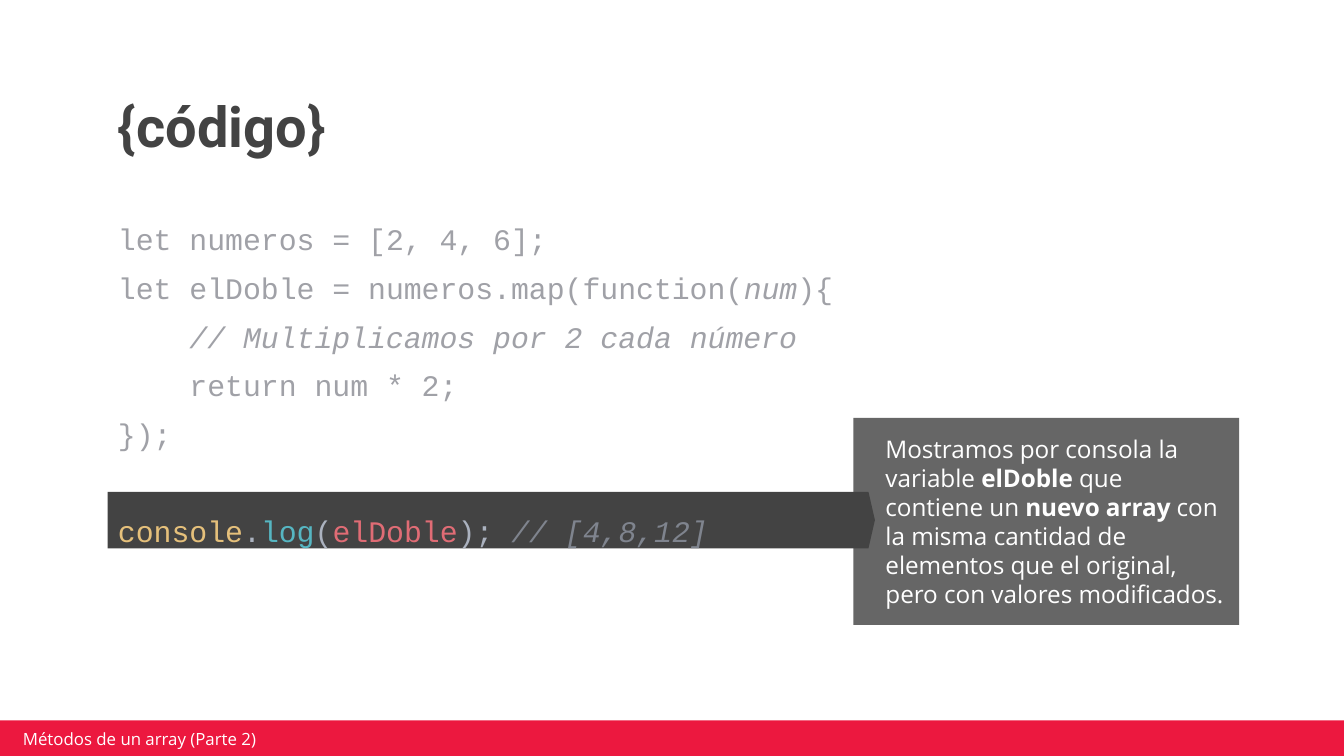
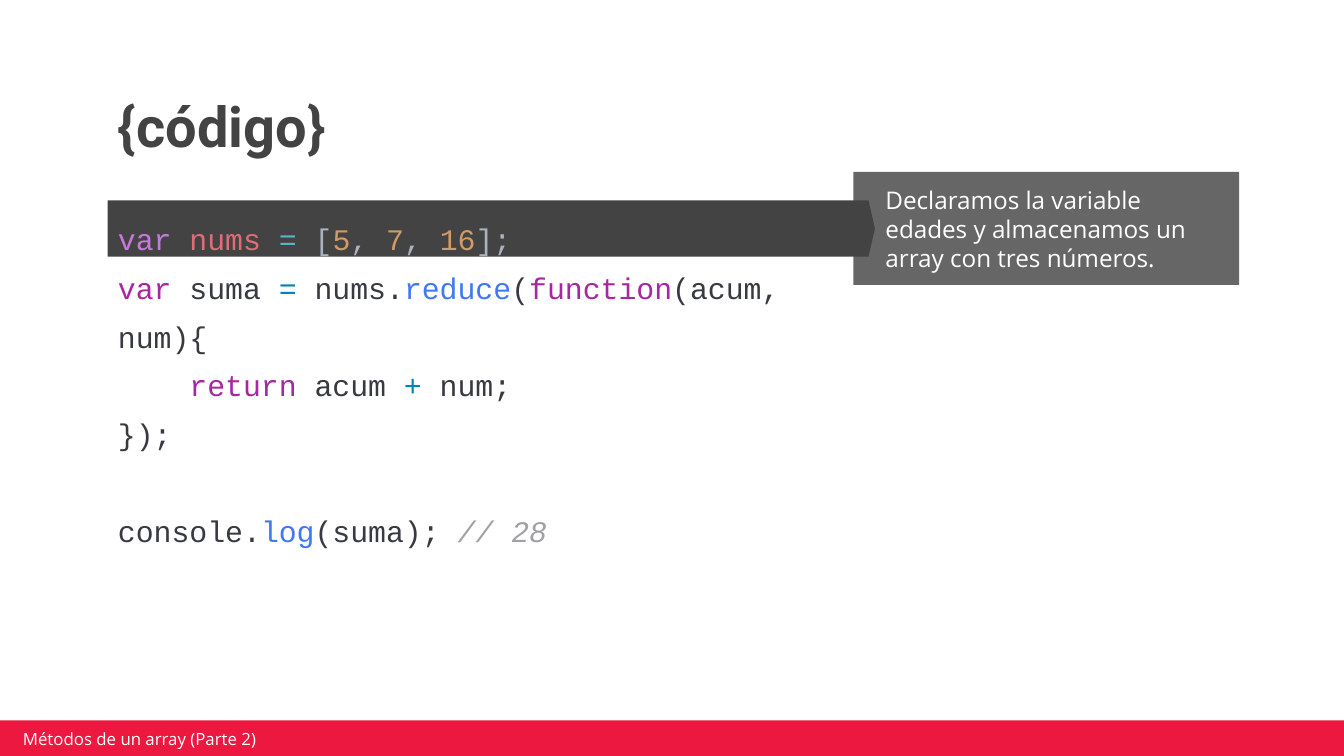
from pptx import Presentation
from pptx import util as u
from pptx.dml.color import RGBColor
from pptx.enum import shapes, text

DARK, GREY, RED, WHITE = "434343", "666666", "EC183F", "FFFFFF"
FADED, INK, PURPLE, BLUE, CYAN = "A0A1A7", "383A42", "A626A4", "4078F2", "0184BC"
PALE, ROSE, TEAL, ORANGE = "ABB2BF", "E06C75", "56B6C2", "D19A66"
YELLOW, VIOLET, COMMENT = "E5C07B", "C678DD", "7F848E"
BODY_FONT, TITLE_FONT, CODE_FONT = "Open Sans", "Roboto", "Courier New"
CODE_LINE = 25.8

MAP_CODE = [
    [("let numeros = [2, 4, 6];", FADED)],
    [("let elDoble = numeros.map(function(", FADED), ("num", FADED, True), ("){", FADED)],
    [("    ", FADED), ("// Multiplicamos por 2 cada número", FADED, True)],
    [("    return num * 2;", FADED)],
    [("});", FADED)],
    [("console", YELLOW), (".", PALE), ("log", TEAL), ("(", PALE), ("elDoble", ROSE),
     ("); ", PALE), ("// [4,8,12]", COMMENT, True)],
]
REDUCE_CODE = [
    [("var ", VIOLET), ("nums ", ROSE), ("=", TEAL), (" [", PALE), ("5", ORANGE),
     (", ", PALE), ("7", ORANGE), (", ", PALE), ("16", ORANGE), ("];", PALE)],
    [("var", PURPLE), (" suma ", INK), ("=", CYAN), (" nums.", INK), ("reduce", BLUE),
     ("(", INK), ("function", PURPLE), ("(acum, num){", INK)],
    [("    ", INK), ("return", PURPLE), (" acum ", INK), ("+", CYAN), (" num;", INK)],
    [("});", INK)],
    [("console.", INK), ("log", BLUE), ("(suma); ", INK), ("// 28", FADED, True)],
]
MAP_NOTE = [
    ("Mostramos por consola la variable ", False), ("elDoble", True),
    (" que contiene un ", False), ("nuevo array", True),
    (" con la misma cantidad de elementos que el original, pero con valores modificados.", False),
]
REDUCE_NOTE = [("Declaramos la variable edades y almacenamos un array con tres números.", False)]


def rgb(color):
    """Turn a hex string into a colour."""
    return RGBColor.from_string(color)


def set_frame(sp, anchor, insets):
    """Set wrapping, anchor and insets, and return the text frame."""
    tf = sp.text_frame
    tf.word_wrap = True
    tf.vertical_anchor = anchor
    tf.margin_left, tf.margin_top, tf.margin_right, tf.margin_bottom = map(u.Inches, insets)
    return tf


def add_run(p, words, font, size, color, bold=False, italic=False):
    """Append one styled run to a paragraph."""
    r = p.add_run()
    r.text = words
    r.font.name, r.font.size = font, u.Pt(size)
    r.font.bold, r.font.italic = bold, italic
    r.font.color.rgb = rgb(color)


def add_text(slide, box, anchor, insets):
    """Add a text box and return its frame."""
    sp = slide.shapes.add_textbox(*map(u.Inches, box))
    return set_frame(sp, anchor, insets)


def add_block(slide, kind, box, color):
    """Add a plain filled shape."""
    sp = slide.shapes.add_shape(kind, *map(u.Inches, box))
    sp.shadow.inherit = False
    sp.fill.solid()
    sp.fill.fore_color.rgb = rgb(color)
    sp.line.fill.background()
    return sp


def add_note(slide, top, height, note):
    """Add the grey explanation box."""
    sp = add_block(slide, shapes.MSO_SHAPE.RECTANGLE, (6.35, top, 2.87, height), GREY)
    tf = set_frame(sp, text.MSO_ANCHOR.MIDDLE, (0.1, 0, 0.1, 0))
    p = tf.paragraphs[0]
    p.alignment = text.PP_ALIGN.LEFT
    p._p.get_or_add_pPr().set("marL", str(u.Inches(0.14)))
    for words, bold in note:
        add_run(p, words, BODY_FONT, 13, WHITE, bold)


def add_highlight(slide, top):
    """Add the dark arrow behind the explained code line."""
    sp = add_block(slide, shapes.MSO_SHAPE.RIGHT_ARROW, (0.8, top, 5.71, 0.42), DARK)
    sp.adjustments[0], sp.adjustments[1] = 1, 0.114


def add_title(slide):
    """Add the slide title."""
    tf = add_text(slide, (0.78, 0.6, 8.43, 0.69), text.MSO_ANCHOR.BOTTOM, (0.1,) * 4)
    p = tf.paragraphs[0]
    p.line_spacing = 0.9
    add_run(p, "{código}", TITLE_FONT, 30, DARK, bold=True)


def add_code(slide, lines):
    """Add the code, with one line of space before its last line."""
    tf = add_text(slide, (0.78, 1.29, 5.56, 4.07), text.MSO_ANCHOR.TOP, (0.1, 0.26, 0.1, 0.1))
    for i, line in enumerate(lines):
        p = tf.add_paragraph() if i else tf.paragraphs[0]
        p.line_spacing = 1.36
        for words, color, *italic in line:
            add_run(p, words, CODE_FONT, 16, color, italic=bool(italic))
    p.space_before = u.Pt(CODE_LINE)


def add_footer(slide):
    """Add the red band and its caption."""
    add_block(slide, shapes.MSO_SHAPE.RECTANGLE, (-0.02, 5.36, 10.03, 0.27), RED)
    tf = add_text(slide, (0.12, 5.42, 2.39, 0.15), text.MSO_ANCHOR.MIDDLE,
                  (0.05, 0.02, 0.05, 0.02))
    add_run(tf.paragraphs[0], "Métodos de un array (Parte 2)", BODY_FONT, 9, WHITE)


def add_code_slide(prs, code, note, note_top, note_height, highlight_top):
    """Add a slide that explains one line of code."""
    slide = prs.slides.add_slide(prs.slide_layouts[6])
    add_note(slide, note_top, note_height, note)
    add_highlight(slide, highlight_top)
    add_title(slide)
    add_code(slide, code)
    add_footer(slide)


def main():
    """Build and save the slides."""
    prs = Presentation()
    prs.slide_width, prs.slide_height = u.Inches(10), u.Inches(5.625)
    add_code_slide(prs, MAP_CODE, MAP_NOTE, 3.11, 1.54, 3.66)
    add_code_slide(prs, REDUCE_CODE, REDUCE_NOTE, 1.28, 0.84, 1.49)
    prs.save("out.pptx")


if __name__ == "__main__":
    main()
